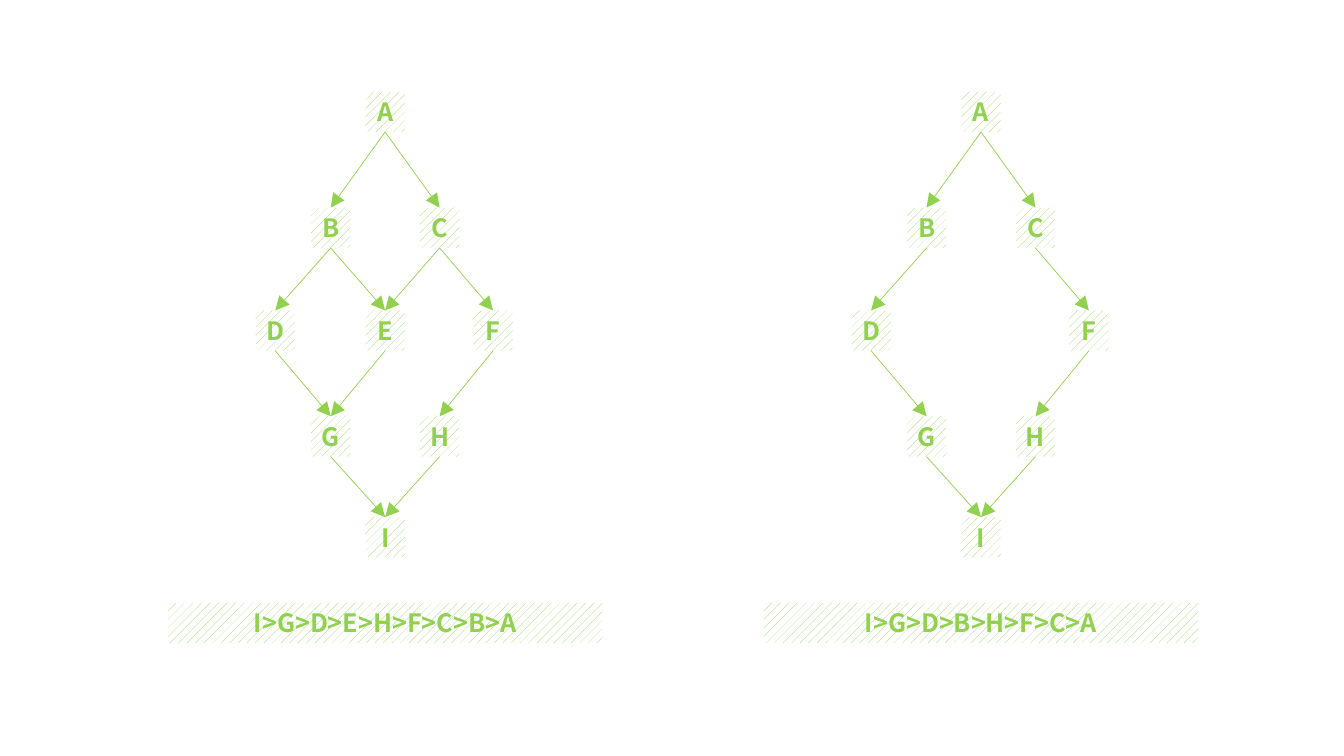
from dataclasses import dataclass

from lxml import etree
from pptx import Presentation
from pptx.dml.color import RGBColor
from pptx.enum.dml import MSO_PATTERN
from pptx.enum.shapes import MSO_CONNECTOR, MSO_SHAPE
from pptx.enum.text import MSO_ANCHOR, PP_ALIGN
from pptx.oxml.ns import qn
from pptx.slide import Slide
from pptx.util import Inches, Pt

RECTANGLE = MSO_SHAPE.RECTANGLE
STRAIGHT = MSO_CONNECTOR.STRAIGHT
PATTERN = MSO_PATTERN.PERCENT_20
CENTER = PP_ALIGN.CENTER
MIDDLE = MSO_ANCHOR.MIDDLE

COLORS = {"green": "92D050", "white": "FFFFFF"}
FONT = "Noto Sans CJK SC"
NODE_WIDTH = 0.39
BOX_HEIGHT = 0.4
ORDER_WIDTH = 4.31
ORDER_TOP = 5.98


@dataclass(frozen=True)
class Node:
    offset: float
    top: float


@dataclass(frozen=True)
class Graph:
    axis: float
    edges: tuple[str, ...]
    order: str


NODES = {
    "A": Node(0, 0.91),
    "B": Node(-0.54, 2.06),
    "C": Node(0.54, 2.06),
    "D": Node(-1.09, 3.08),
    "E": Node(0, 3.08),
    "F": Node(1.07, 3.08),
    "G": Node(-0.54, 4.13),
    "H": Node(0.54, 4.13),
    "I": Node(0, 5.13),
}

GRAPHS = (
    Graph(
        3.82,
        ("AB", "AC", "BD", "BE", "CE", "CF", "DG", "EG", "FH", "GI", "HI"),
        "I>G>D>E>H>F>C>B>A",
    ),
    Graph(
        9.73,
        ("AB", "AC", "BD", "CF", "DG", "FH", "GI", "HI"),
        "I>G>D>B>H>F>C>A",
    ),
)


def color(name: str) -> RGBColor:
    return RGBColor.from_string(COLORS[name])


def draw_box(page: Slide, center: float, top: float, width: float, text: str) -> None:
    box = page.shapes.add_shape(
        RECTANGLE,
        Inches(center - width / 2),
        Inches(top),
        Inches(width),
        Inches(BOX_HEIGHT),
    )
    box.shadow.inherit = False
    box.line.fill.background()
    box.fill.patterned()
    box.fill.pattern = PATTERN
    box.fill.fore_color.rgb = color("green")
    box.fill.back_color.rgb = color("white")
    frame = box.text_frame
    frame.word_wrap = True
    frame.vertical_anchor = MIDDLE
    frame.margin_top = frame.margin_bottom = 0
    frame.text = text
    para = frame.paragraphs[0]
    para.alignment = CENTER
    font = para.runs[0].font
    font.name = FONT
    font.size = Pt(18)
    font.bold = True
    font.color.rgb = color("green")


def draw_arrow(page: Slide, axis: float, parent: Node, child: Node) -> None:
    arrow = page.shapes.add_connector(
        STRAIGHT,
        Inches(axis + parent.offset),
        Inches(parent.top + BOX_HEIGHT),
        Inches(axis + child.offset),
        Inches(child.top),
    )
    arrow.line.color.rgb = color("green")
    arrow.line.width = Pt(0.5)
    outline = arrow.line._get_or_add_ln()
    etree.SubElement(outline, qn("a:tailEnd"), type="triangle", w="lg", len="lg")
    etree.SubElement(arrow._element.spPr, qn("a:effectLst"))


def draw_graph(page: Slide, graph: Graph) -> None:
    shown = set("".join(graph.edges))
    for name, node in NODES.items():
        if name in shown:
            draw_box(page, graph.axis + node.offset, node.top, NODE_WIDTH, name)
    for parent, child in graph.edges:
        draw_arrow(page, graph.axis, NODES[parent], NODES[child])
    draw_box(page, graph.axis, ORDER_TOP, ORDER_WIDTH, graph.order)


deck = Presentation()
deck.slide_width = Inches(13.33)
deck.slide_height = Inches(7.5)
page = deck.slides.add_slide(deck.slide_layouts[6])
for graph in GRAPHS:
    draw_graph(page, graph)
deck.save("out.pptx")
